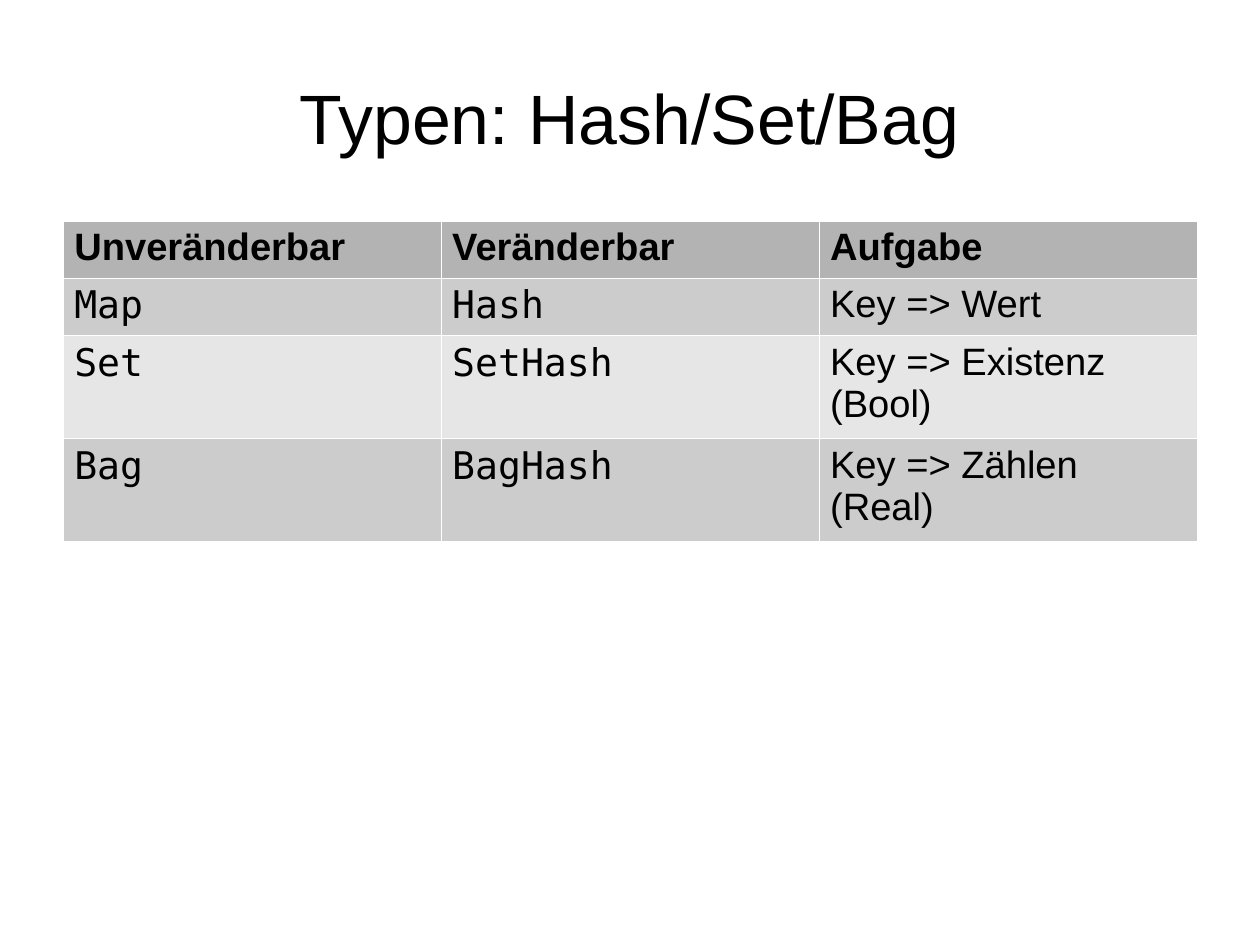
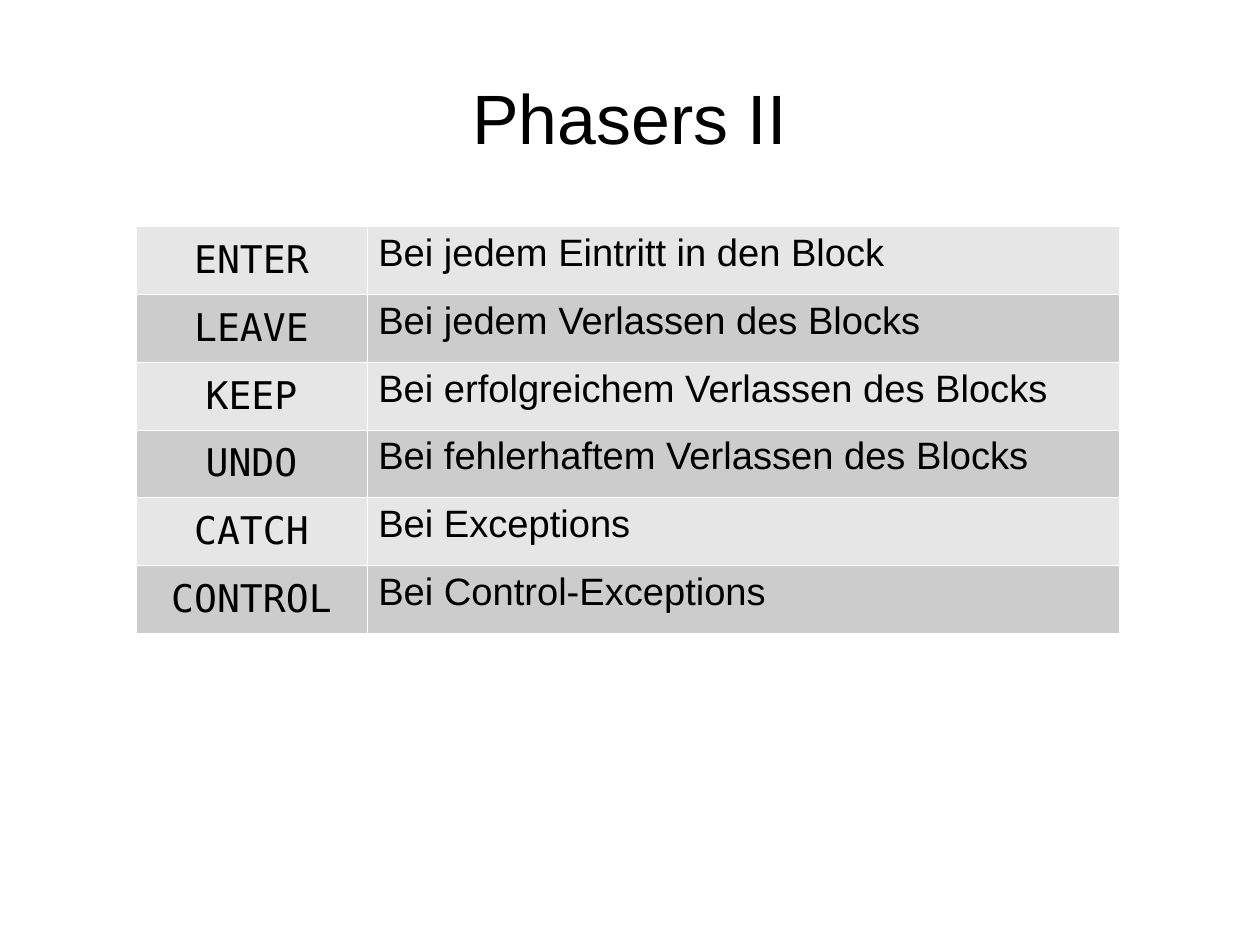
"""Build two slides with a title and a banded table each."""
from lxml.etree import SubElement as Sub
from pptx import Presentation
from pptx.dml.color import RGBColor as RGB
from pptx.enum.text import MSO_ANCHOR as Anchor, PP_ALIGN as Align
from pptx.oxml.ns import qn
from pptx.util import Inches, Pt

COLORS = {"text": "000000", "line": "FFFFFF", "head": "B3B3B3",
          "dark": "CCCCCC", "light": "E6E6E6"}
SANS, MONO = "Arial", "DejaVu Sans Mono"

TABLES = [
    {"title": "Typen: Hash/Set/Bag", "left": 0.55, "top": 1.93,
     "cols": [9.92 / 3] * 3, "rows": [0.5, 0.5, 0.9, 0.9],
     "head": True, "mono": 2, "center": False,
     "cells": [("Unveränderbar", "Veränderbar", "Aufgabe"),
               ("Map", "Hash", "Key => Wert"),
               ("Set", "SetHash", "Key => Existenz (Bool)"),
               ("Bag", "BagHash", "Key => Zählen (Real)")]},
    {"title": "Phasers II", "left": 1.19, "top": 1.98,
     "cols": [2.02, 6.58], "rows": [3.56 / 6] * 6,
     "head": False, "mono": 1, "center": True,
     "cells": [("ENTER", "Bei jedem Eintritt in den Block"),
               ("LEAVE", "Bei jedem Verlassen des Blocks"),
               ("KEEP", "Bei erfolgreichem Verlassen des Blocks"),
               ("UNDO", "Bei fehlerhaftem Verlassen des Blocks"),
               ("CATCH", "Bei Exceptions"),
               ("CONTROL", "Bei Control-Exceptions")]},
]


def write(frame, text, size, face=SANS, bold=False, align=Align.LEFT):
    para = frame.paragraphs[0]
    para.alignment = align
    run = para.add_run()
    run.text = text
    font = run.font
    font.name, font.size, font.bold = face, Pt(size), bold
    font.color.rgb = RGB.from_string(COLORS["text"])


def style(cell, color):
    props = cell._tc.get_or_add_tcPr()
    for side in ("lnL", "lnR", "lnT", "lnB"):
        line = Sub(props, qn(f"a:{side}"), w=str(Pt(0.06)))
        fill = Sub(line, qn("a:solidFill"))
        Sub(fill, qn("a:srgbClr"), val=COLORS["line"])
    cell.fill.solid()
    cell.fill.fore_color.rgb = RGB.from_string(COLORS[color])
    cell.margin_left = cell.margin_right = Inches(0.1)
    cell.margin_top = cell.margin_bottom = Inches(0.05)


deck = Presentation()
deck.slide_width, deck.slide_height = Inches(28 / 2.54), Inches(21 / 2.54)

for data in TABLES:
    slide = deck.slides.add_slide(deck.slide_layouts[6])
    box = slide.shapes.add_textbox(Inches(0.55), Inches(0.33), Inches(9.92), Inches(1.38))
    frame = box.text_frame
    frame.word_wrap = True
    frame.vertical_anchor = Anchor.MIDDLE
    frame.margin_left = frame.margin_right = frame.margin_top = frame.margin_bottom = 0
    write(frame, data["title"], 44, align=Align.CENTER)

    cols, rows = data["cols"], data["rows"]
    table = slide.shapes.add_table(
        len(rows), len(cols), Inches(data["left"]), Inches(data["top"]),
        Inches(sum(cols)), Inches(sum(rows))).table
    table.first_row = data["head"]
    for col, width in zip(table.columns, cols):
        col.width = Inches(width)
    for row, height in zip(table.rows, rows):
        row.height = Inches(height)

    for r, texts in enumerate(data["cells"]):
        head = data["head"] and r == 0
        color = "head" if head else ("light", "dark")[r % 2]
        for c, text in enumerate(texts):
            cell = table.cell(r, c)
            style(cell, color)
            mid = data["center"] and c == 0
            cell.vertical_anchor = Anchor.MIDDLE if mid else Anchor.TOP
            face = MONO if c < data["mono"] and not head else SANS
            write(cell.text_frame, text, 24, face, head, Align.CENTER if mid else Align.LEFT)

deck.save("out.pptx")
